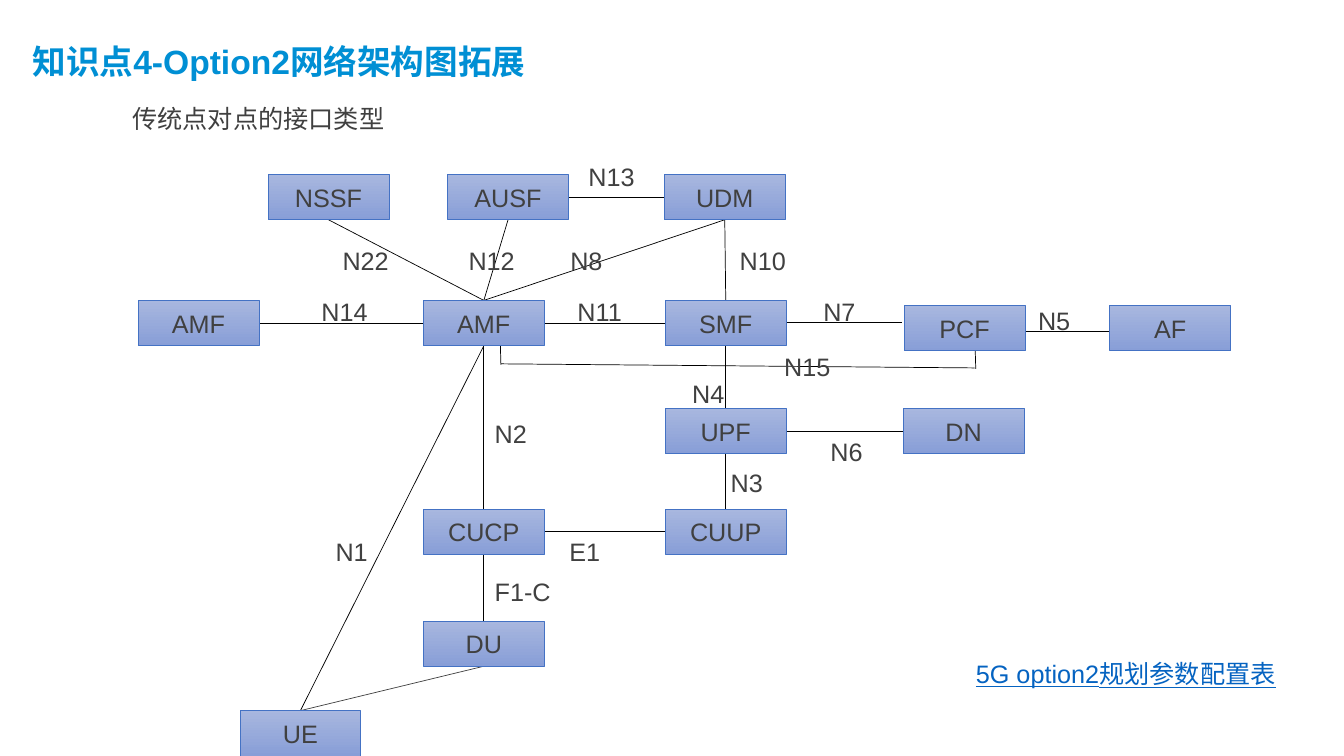
from lxml import etree
from pptx import Presentation
from pptx.dml.color import RGBColor
from pptx.enum import shapes, text
from pptx.oxml import ns
from pptx.util import Pt

COLORS = {
    "title": "008FD4", "text": "404040", "link": "0563C1", "line": "000000",
    "border": "4472C4", "top": "A8B7DF", "bottom": "889ED7",
}
NODE_W, NODE_H = 86.4, 32.4
SIDES = {"top": (0.5, 0), "left": (0, 0.5), "bottom": (0.5, 1), "right": (1, 0.5)}
NODES = {
    "NSSF": (191.5, 124.6), "AUSF": (319.7, 124.6), "UDM": (474.5, 124.6),
    "AMF peer": (98.6, 214.6), "AMF": (302.4, 214.6), "SMF": (475.2, 214.6),
    "PCF": (645.8, 218.2), "AF": (792.7, 218.2),
    "UPF": (475.2, 291.6), "DN": (645.1, 291.6),
    "CUCP": (302.4, 363.6), "CUUP": (475.2, 363.6),
    "DU": (302.4, 443.5), "UE": (171.4, 507.6),
}
LINKS = [
    ("AUSF", "right", "UDM", "left"), ("NSSF", "bottom", "AMF", "top"),
    ("AUSF", "bottom", "AMF", "top"), ("UDM", "bottom", "AMF", "top"),
    ("UDM", "bottom", "SMF", "top"), ("AMF peer", "right", "AMF", "left"),
    ("AMF", "right", "SMF", "left"), ("SMF", "bottom", "CUUP", "top"),
    ("UPF", "right", "DN", "left"), ("AMF", "bottom", "DU", "top"),
    ("CUCP", "right", "CUUP", "left"), ("AMF", "bottom", "UE", "top"),
]
OFFSET_LINES = [
    (561, 230.4, 644.4, 230.4), (716.4, 236.9, 799.9, 236.9),
    (357.8, 260.6, 357.1, 233.3), (357.8, 259.9, 696.2, 262.8),
    (697, 263.5, 696.2, 236.2),
]
LABELS = {
    "N13": (413.3, 111.6), "N22": (237.6, 171.4), "N12": (327.6, 171.4),
    "N8": (400.3, 171.4), "N10": (521.3, 171.4), "N14": (222.5, 208.1),
    "N11": (405.4, 208.1), "N7": (581, 208.1), "N5": (734.4, 214.6),
    "N15": (553, 247.7), "N4": (487.4, 266.4), "N2": (346.3, 295.2),
    "N6": (586.1, 308.2), "N3": (514.8, 330.5), "E1": (399.6, 379.4),
    "N1": (232.6, 379.4), "F1-C": (346.3, 408.2),
}


def rgb(name):
    return RGBColor.from_string(COLORS[name])


def set_all(target, values):
    for name, value in values.items():
        setattr(target, name, value)


def write(tf, words, color="text", align=None, **font):
    p = tf.paragraphs[0]
    p.alignment = align
    r = p.add_run()
    r.text = words
    set_all(r.font, {"name": "Arial", "size": Pt(18), **font})
    r.font.color.rgb = rgb(color)


def add_line(s, x1, y1, x2, y2, color="line"):
    line = s.shapes.add_connector(
        shapes.MSO_CONNECTOR.STRAIGHT, Pt(x1), Pt(y1), Pt(x2), Pt(y2))
    line.line.color.rgb = rgb(color)
    line.line.width = Pt(0.5)
    etree.SubElement(line._element.spPr, ns.qn("a:effectLst"))


def anchor(node, side):
    x, y = NODES[node]
    dx, dy = SIDES[side]
    return x + dx * NODE_W, y + dy * NODE_H


def add_link(s, start, start_side, end, end_side, color="line"):
    add_line(s, *anchor(start, start_side), *anchor(end, end_side), color)


def add_node(s, name, x, y):
    sp = s.shapes.add_shape(
        shapes.MSO_SHAPE.RECTANGLE, Pt(x), Pt(y), Pt(NODE_W), Pt(NODE_H))
    sp.shadow.inherit = False
    sp.fill.gradient()
    sp.fill.gradient_angle = 270
    for stop, color, position in zip(sp.fill.gradient_stops, ("top", "bottom"), (0, 1)):
        stop.color.rgb = rgb(color)
        stop.position = position
    sp.line.color.rgb = rgb("border")
    sp.line.width = Pt(0.5)
    sp.text_frame.vertical_anchor = text.MSO_ANCHOR.MIDDLE
    write(sp.text_frame, name.split()[0], align=text.PP_ALIGN.CENTER)


def add_label(s, words, x, y):
    tf = s.shapes.add_textbox(Pt(x), Pt(y), Pt(64.8), Pt(28.8)).text_frame
    set_all(tf, {"word_wrap": True, "auto_size": text.MSO_AUTO_SIZE.SHAPE_TO_FIT_TEXT})
    write(tf, words)


def add_heading(s, words, x, y, w, color, **font):
    tf = s.shapes.add_textbox(Pt(x), Pt(y), Pt(w), Pt(60.5)).text_frame
    set_all(tf, {
        "word_wrap": True, "vertical_anchor": text.MSO_ANCHOR.MIDDLE,
        "margin_left": Pt(4.5), "margin_right": Pt(4.5),
        "margin_top": Pt(2.3), "margin_bottom": Pt(2.3),
    })
    write(tf, words, color, **font)


def main():
    prs = Presentation()
    set_all(prs, {"slide_width": Pt(960), "slide_height": Pt(540)})
    s = prs.slides.add_slide(prs.slide_layouts[6])
    add_heading(s, "知识点4-Option2网络架构图拓展", 18.7, 13.7, 893.5, "title",
                size=Pt(24), bold=True)
    add_heading(s, "传统点对点的接口类型", 90, 54.7, 860, "text")
    for link in LINKS:
        add_link(s, *link)
    add_link(s, "DU", "bottom", "UE", "top", "text")
    for ends in OFFSET_LINES:
        add_line(s, *ends)
    for name, place in NODES.items():
        add_node(s, name, *place)
    for words, place in LABELS.items():
        add_label(s, words, *place)
    add_heading(s, "5G option2规划参数配置表", 692.6, 450.7, 267, "link", underline=True)
    prs.save("out.pptx")


if __name__ == "__main__":
    main()
